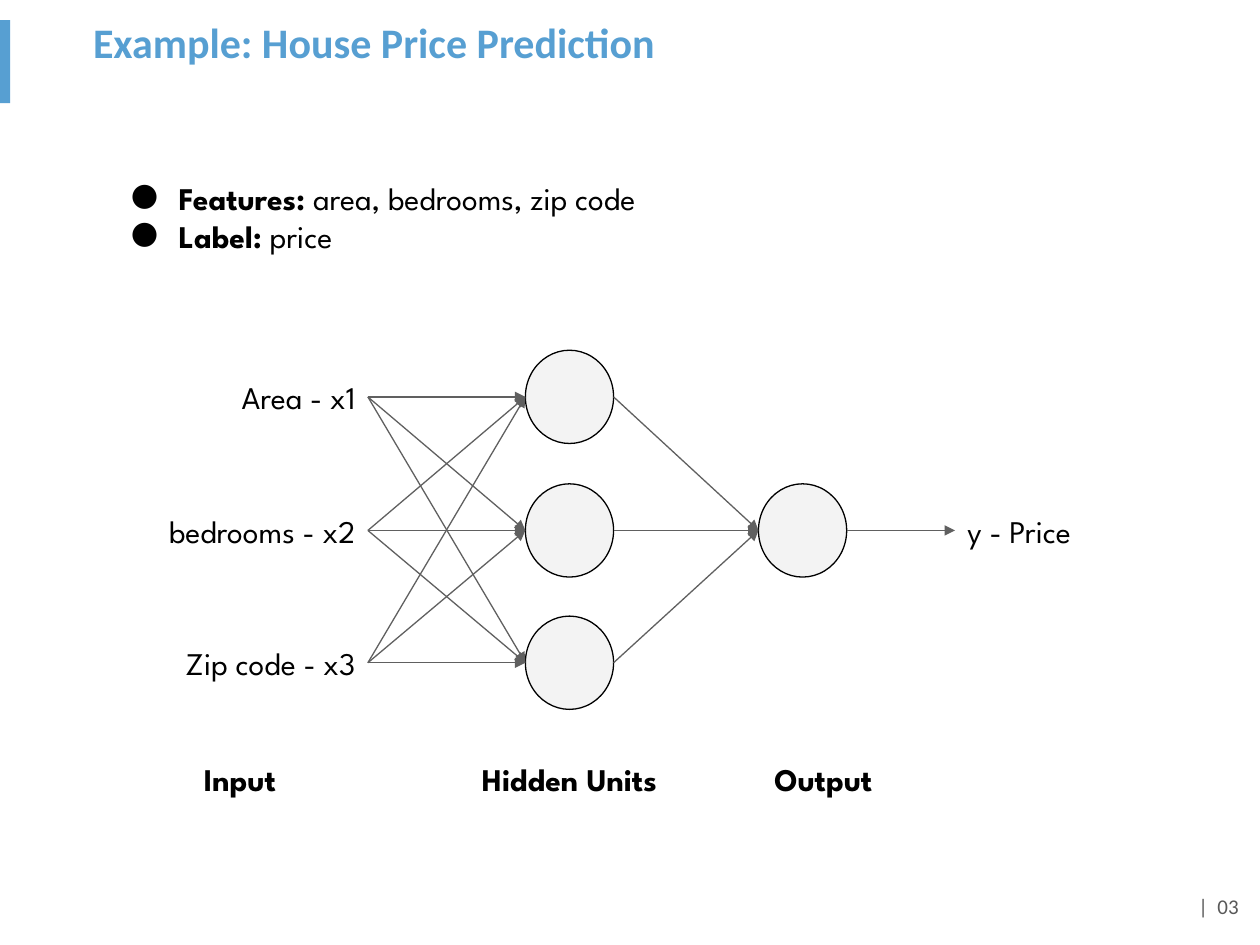
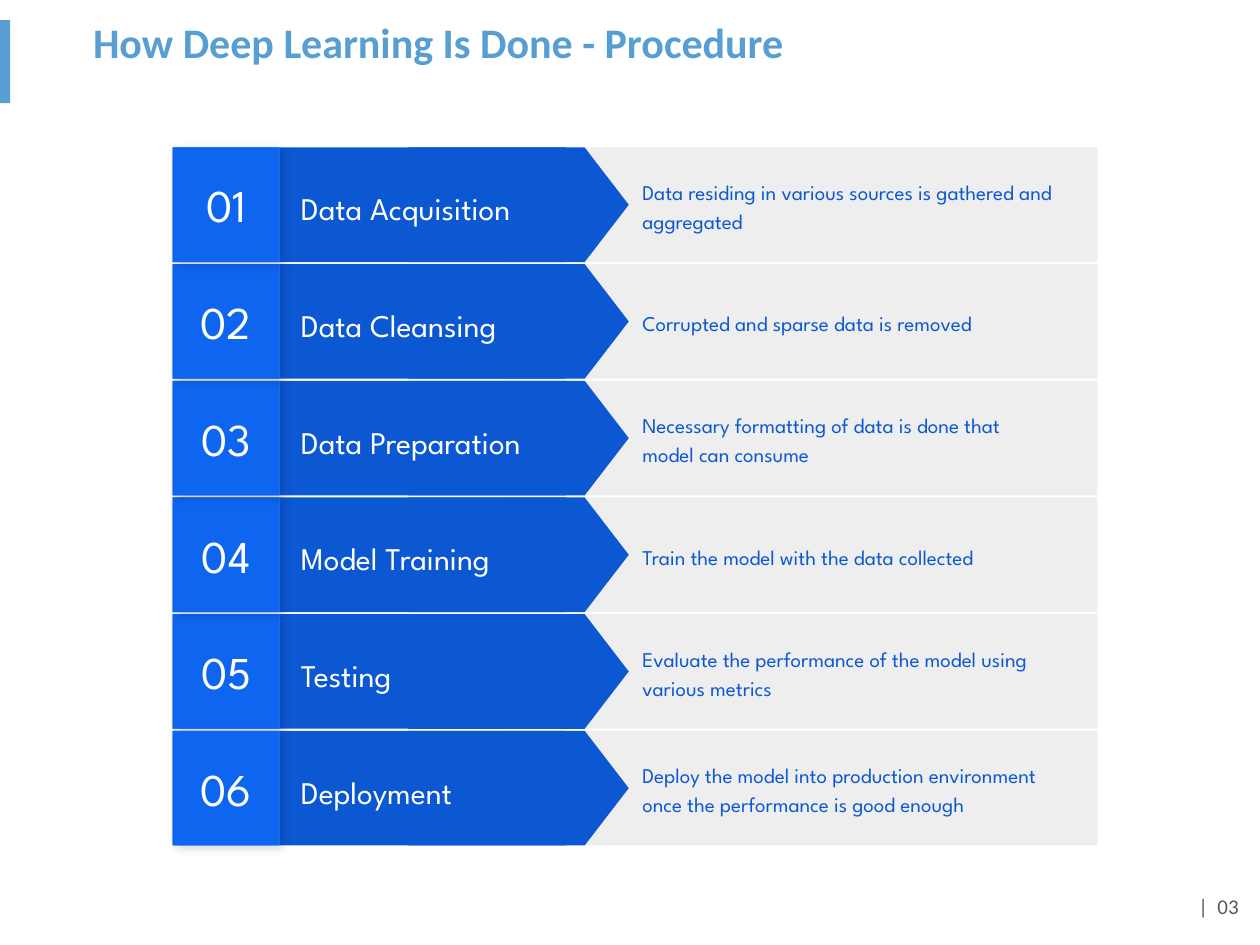
"""Build two slides on deep learning: a price network and the procedure."""
from lxml import etree
from pptx import Presentation
from pptx.dml.color import RGBColor
from pptx.enum.shapes import MSO_CONNECTOR, MSO_SHAPE
from pptx.enum.text import MSO_ANCHOR, PP_ALIGN
from pptx.oxml.ns import qn
from pptx.util import Inches, Pt

RECT, CIRCLE = MSO_SHAPE.RECTANGLE, MSO_SHAPE.OVAL
POINTER = MSO_SHAPE.FLOWCHART_OFFPAGE_CONNECTOR
STRAIGHT = MSO_CONNECTOR.STRAIGHT
TOP, MIDDLE = MSO_ANCHOR.TOP, MSO_ANCHOR.MIDDLE
LEFT, CENTER, RIGHT = PP_ALIGN.LEFT, PP_ALIGN.CENTER, PP_ALIGN.RIGHT

COLORS = {
    "accent": "579FD2", "footer": "595959", "ink": "000000", "node": "F3F3F3",
    "arrow": "606060", "panel": "EEEEEE", "step": "0C58D3", "number": "0E65F0",
    "number_base": "0D5DDF", "white": "FFFFFF",
}
HEADING_FONT, BODY_FONT = "Calibri", "League Spartan"

LEVELS = (3.15, 4.21, 5.26)
NODE_W, NODE_H = 0.7, 0.74
INPUT_X, HIDDEN_X, OUTPUT_X, PRICE_X = 2.92, 4.17, 6.02, 7.58
LABEL_H = 0.48
INPUTS = ("Area - x1", "bedrooms - x2", "Zip code - x3")
LAYER_NAMES = (("Input", 1.14, 1.53), ("Hidden Units", 3.62, 1.8), ("Output", 5.77, 1.53))

STEPS = (
    ("Data Acquisition", "Data residing in various sources is gathered and aggregated"),
    ("Data Cleansing", "Corrupted and sparse data is removed"),
    ("Data Preparation", "Necessary formatting of data is done that model can consume"),
    ("Model Training", "Train the model with the data collected"),
    ("Testing", "Evaluate the performance of the model using various metrics"),
    ("Deployment", "Deploy the model into production environment once the performance is good enough"),
)
DRAW_ORDER = (4, 3, 2, 1, 0, 5)
FIRST_ROW, LAST_ROW, ROW_H = 1.17, 5.8, 0.91
ROW_PITCH = (LAST_ROW - FIRST_ROW) / (len(STEPS) - 1)
POINTER_LENGTH = 1.75


def rgb(color):
    """Return the named colour."""
    return RGBColor.from_string(COLORS[color])


def add_element(parent, tag, **attributes):
    """Append a DrawingML element and return it."""
    return etree.SubElement(parent, qn(f"a:{tag}"), attributes)


class Deck:
    """Hold the shared style and the slide being drawn."""

    def __init__(self):
        """Start an empty 10 by 7.5 inch deck."""
        self.prs = Presentation()
        self.prs.slide_width, self.prs.slide_height = Inches(10), Inches(7.5)
        self.slide = None

    def start_slide(self, title):
        """Add a slide with its title, side band and page number."""
        self.slide = self.prs.slides.add_slide(self.prs.slide_layouts[6])
        heading = {"font": HEADING_FONT, "anchor": TOP, "inset_y": 0.05}
        self.text((7.18, 7.04, 2.75, 0.3), "|  03", size=12, color="footer", align=RIGHT, **heading)
        self.text((0.64, 0.08, 6.1, 0.5), title, size=24, color="accent", bold=True, **heading)
        self.shape(RECT, (0, 0.16, 0.08, 0.66), "accent")

    def shape(self, preset, box, fill, line=None):
        """Add a flat preset shape."""
        shape = self.slide.shapes.add_shape(preset, *map(Inches, box))
        shape.shadow.inherit = False
        shape.fill.solid()
        shape.fill.fore_color.rgb = rgb(fill)
        if line:
            shape.line.color.rgb = rgb(line)
            shape.line.width = Pt(0.75)
        else:
            shape.line.fill.background()
        return shape

    def shadow(self, shape):
        """Give a shape a soft diagonal shadow."""
        effects = shape._element.spPr.find(qn("a:effectLst"))
        shadow = add_element(effects, "outerShdw", blurRad=str(Pt(5.6)), dist=str(Pt(2.2)),
                             dir="2700000", algn="bl", rotWithShape="0")
        color = add_element(shadow, "srgbClr", val=COLORS["ink"])
        add_element(color, "alpha", val="17000")

    def arrow(self, start, end):
        """Add a thin line with a triangle at its end."""
        arrow = self.slide.shapes.add_connector(STRAIGHT, *map(Inches, (*start, *end)))
        arrow.line.color.rgb = rgb("arrow")
        arrow.line.width = Pt(0.75)
        properties = arrow._element.spPr
        add_element(properties.find(qn("a:ln")), "tailEnd", type="triangle")
        add_element(properties, "effectLst")

    def text(self, box, words, **style):
        """Add a wrapping text box with one paragraph."""
        frame = self.slide.shapes.add_textbox(*map(Inches, box)).text_frame
        self.fill_frame(frame, words, **style)

    def fill_frame(self, frame, words, anchor=MIDDLE, inset_y=0.1, align=LEFT, spacing=None, **style):
        """Fill a text frame with one paragraph."""
        self.set_frame(frame, anchor, inset_y)
        paragraph = frame.paragraphs[0]
        paragraph.alignment = align
        if spacing:
            paragraph.line_spacing = spacing
        self.add_words(paragraph, words, **style)

    def set_frame(self, frame, anchor, inset_y=0.1):
        """Set wrapping, anchor and insets of a text frame."""
        layout = {
            "word_wrap": True, "vertical_anchor": anchor,
            "margin_left": Inches(0.1), "margin_right": Inches(0.1),
            "margin_top": Inches(inset_y), "margin_bottom": Inches(inset_y),
        }
        for key, value in layout.items():
            setattr(frame, key, value)

    def add_words(self, paragraph, words, size=18, color="ink", bold=False, font=BODY_FONT):
        """Add a styled run to a paragraph."""
        run = paragraph.add_run()
        run.text = words
        for key, value in {"name": font, "size": Pt(size), "bold": bold}.items():
            setattr(run.font, key, value)
        run.font.color.rgb = rgb(color)

    def bullets(self, box, items):
        """Add a bulleted list of bold terms with plain details."""
        frame = self.slide.shapes.add_textbox(*map(Inches, box)).text_frame
        self.set_frame(frame, TOP)
        for index, (term, detail) in enumerate(items):
            paragraph = frame.add_paragraph() if index else frame.paragraphs[0]
            properties = paragraph._p.get_or_add_pPr()
            properties.set("marL", str(Inches(0.5)))
            properties.set("indent", str(Inches(-0.38)))
            color = add_element(properties, "buClr")
            add_element(color, "srgbClr", val=COLORS["ink"])
            add_element(properties, "buFont", typeface=BODY_FONT)
            add_element(properties, "buChar", char="●")
            self.add_words(paragraph, term, bold=True)
            self.add_words(paragraph, detail)

    def node(self, x, level):
        """Add a network unit centred on a level."""
        self.shape(CIRCLE, (x, level - NODE_H / 2, NODE_W, NODE_H), "node", "ink")

    def step(self, index):
        """Add one numbered row of the procedure."""
        name, detail = STEPS[index]
        y = FIRST_ROW + index * ROW_PITCH
        number_box = (1.37, y, 0.85, ROW_H)
        self.shape(RECT, (4, y, 4.71, ROW_H), "panel")
        self.shape(RECT, (2.22, y, 2.27, ROW_H), "step")
        pointer_y = y + (ROW_H - POINTER_LENGTH) / 2
        self.shape(POINTER, (3.66, pointer_y, ROW_H, POINTER_LENGTH), "step").rotation = 270
        self.text((2.29, y + 0.11, 2.39, 0.7), name, color="white", spacing=1.15)
        self.shadow(self.shape(RECT, number_box, "number_base"))
        number = self.shape(RECT, number_box, "number")
        self.fill_frame(number.text_frame, f"{index + 1:02}", size=26, color="white", align=CENTER)
        self.text((5, y, 3.47, ROW_H), detail, size=12, color="step", spacing=1.15)


def draw_network(deck):
    """Draw the house price network."""
    deck.start_slide("Example: House Price Prediction")
    middle = LEVELS[1]
    for name, level in zip(INPUTS, LEVELS):
        deck.node(HIDDEN_X, level)
        deck.text((0.89, level - LABEL_H / 2, 2.03, LABEL_H), name, align=RIGHT)
    for level in LEVELS:
        for target in LEVELS:
            deck.arrow((INPUT_X, level), (HIDDEN_X, target))
    deck.node(OUTPUT_X, middle)
    for level in LEVELS:
        deck.arrow((HIDDEN_X + NODE_W, level), (OUTPUT_X, middle))
    deck.text((PRICE_X, middle - LABEL_H / 2, 1.53, LABEL_H), "y - Price")
    deck.arrow((OUTPUT_X + NODE_W, middle), (PRICE_X, middle))
    for name, x, width in LAYER_NAMES:
        deck.text((x, 5.94, width, LABEL_H), name, bold=True, align=CENTER)
    deck.bullets((0.82, 1.32, 5.1, 0.82),
                 (("Features:", " area, bedrooms, zip code"), ("Label:", " price")))


def draw_procedure(deck):
    """Draw the six steps of the procedure."""
    deck.start_slide("How Deep Learning Is Done - Procedure")
    for index in DRAW_ORDER:
        deck.step(index)


def main():
    """Build and save the deck."""
    deck = Deck()
    draw_network(deck)
    draw_procedure(deck)
    deck.prs.save("out.pptx")


if __name__ == "__main__":
    main()
